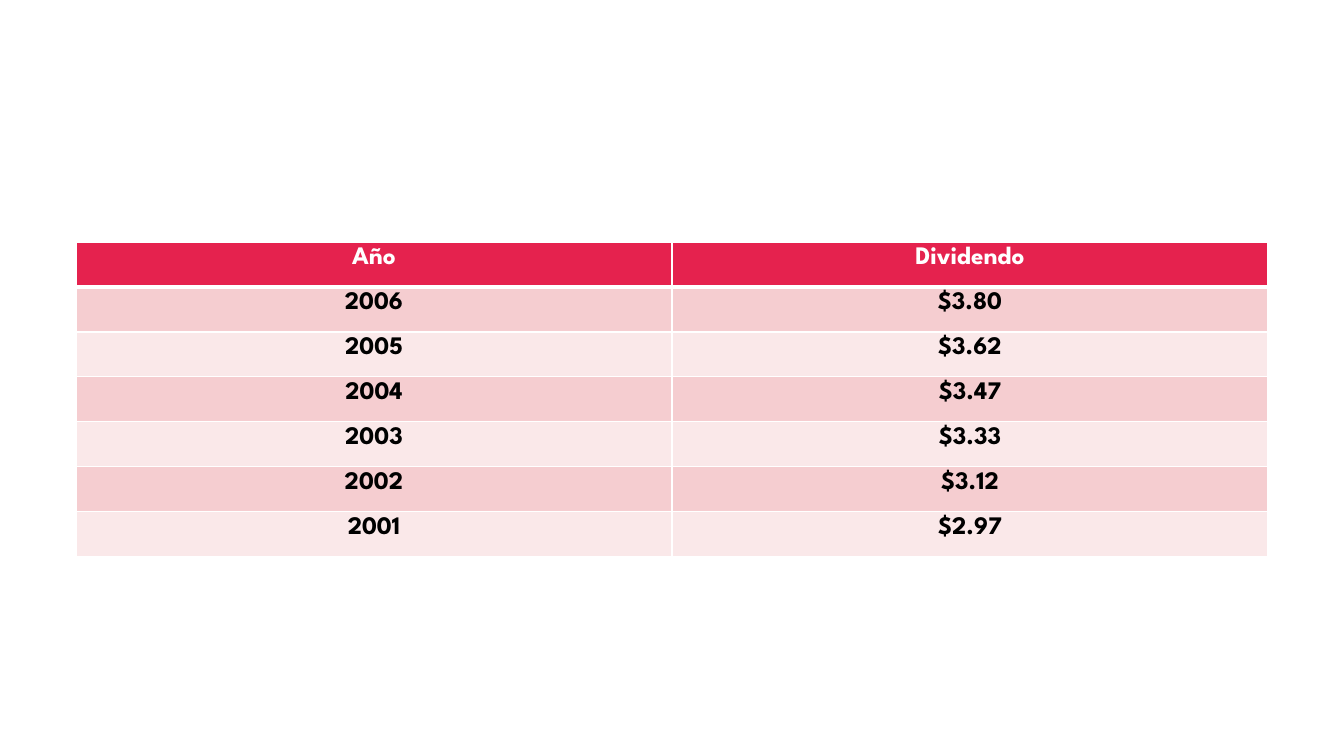
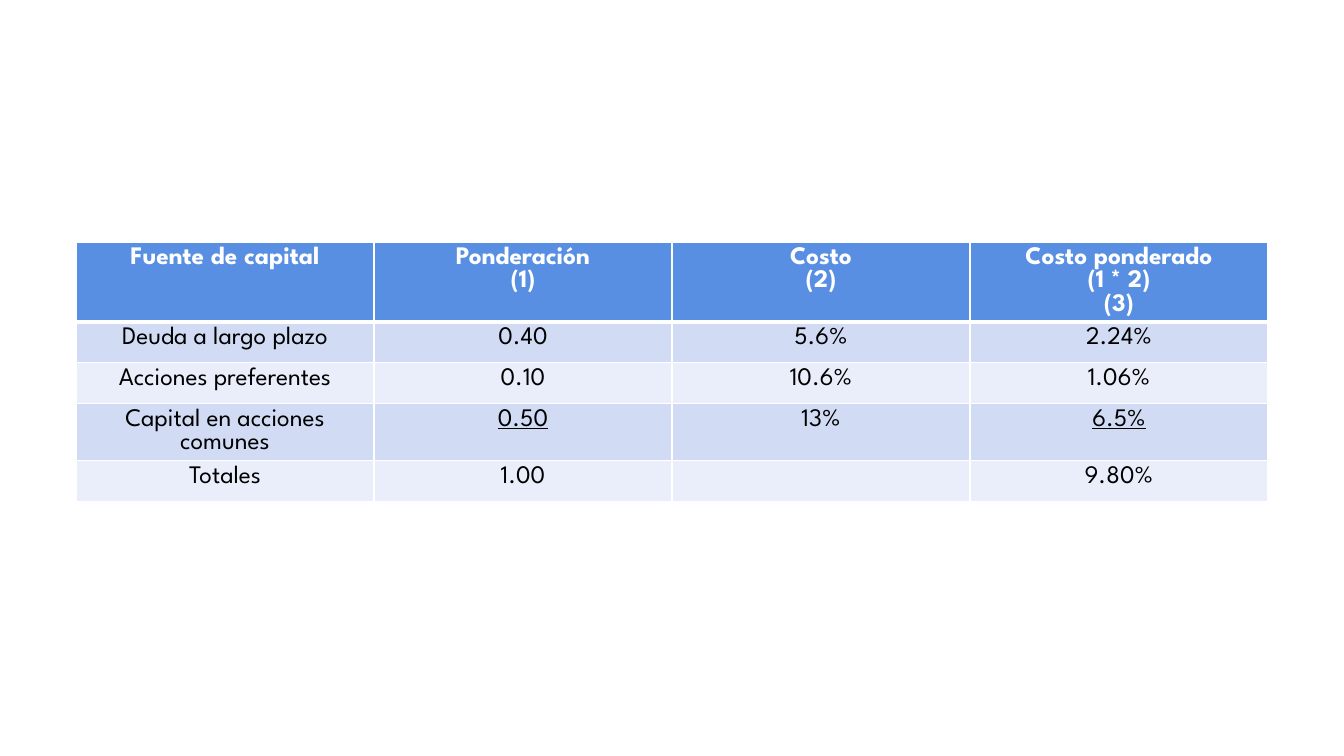
from lxml import etree
from pptx import Presentation
from pptx.dml.color import RGBColor
from pptx.enum.text import PP_ALIGN
from pptx.oxml.ns import qn
from pptx.util import Pt

CENTER = PP_ALIGN.CENTER
PX = 12192000 / 1344
FONT = "League Spartan"
FONT_SIZE = 18
WHITE, BLACK = "FFFFFF", "000000"
TABLE_LEFT, TABLE_TOP, TABLE_WIDTH = 76, 242, 1192
THIN, THICK = 1, 3


def px(length):
    return round(length * PX)


def color(value):
    return RGBColor.from_string(value)


# Content of each slide: header fill, alternating row fills, row heights, cells
tables = [
    {
        "header": "E5224E",
        "bands": ["F5CDD0", "FAE8E9"],
        "bold_body": True,
        "underlined": [],
        "heights": [45] * 7,
        "rows": [
            ["Año", "Dividendo"],
            ["2006", "$3.80"],
            ["2005", "$3.62"],
            ["2004", "$3.47"],
            ["2003", "$3.33"],
            ["2002", "$3.12"],
            ["2001", "$2.97"],
        ],
    },
    {
        "header": "588FE2",
        "bands": ["D1DBF4", "EAEEFA"],
        "bold_body": False,
        "underlined": ["0.50", "6.5%"],
        "heights": [79, 41, 41, 56, 41],
        "rows": [
            ["Fuente de capital", "Ponderación\n(1)", "Costo\n(2)",
             "Costo ponderado\n(1 * 2)\n(3)"],
            ["Deuda a largo plazo", "0.40", "5.6%", "2.24%"],
            ["Acciones preferentes", "0.10", "10.6%", "1.06%"],
            ["Capital en acciones comunes", "0.50", "13%", "6.5%"],
            ["Totales", "1.00", "", "9.80%"],
        ],
    },
]

deck = Presentation()
deck.slide_width, deck.slide_height = px(1344), px(756)
blank_layout = deck.slide_layouts[6]

for content in tables:
    page = deck.slides.add_slide(blank_layout)
    rows, heights = content["rows"], content["heights"]
    column_count = len(rows[0])
    table = page.shapes.add_table(
        len(rows), column_count, px(TABLE_LEFT), px(TABLE_TOP),
        px(TABLE_WIDTH), px(sum(heights))).table

    # Equal columns, row heights as listed
    for column in table.columns:
        column.width = px(TABLE_WIDTH // column_count)
    for row, height in zip(table.rows, heights):
        row.height = px(height)

    for row_index, texts in enumerate(rows):
        is_header = row_index == 0
        fill = content["header"] if is_header else content["bands"][(row_index - 1) % 2]
        for column_index, text in enumerate(texts):
            cell = table.cell(row_index, column_index)
            cell.fill.solid()
            cell.fill.fore_color.rgb = color(fill)

            # White borders, thicker under the header
            borders = {
                "a:lnL": THIN,
                "a:lnR": THIN,
                "a:lnT": THICK if row_index == 1 else THIN,
                "a:lnB": THICK if is_header else THIN,
            }
            properties = cell._tc.get_or_add_tcPr()
            for position, (tag, width) in enumerate(borders.items()):
                line = etree.Element(qn(tag), w=str(Pt(width)))
                line_fill = etree.SubElement(line, qn("a:solidFill"))
                etree.SubElement(line_fill, qn("a:srgbClr"), val=WHITE)
                properties.insert(position, line)

            # Centred text, one paragraph per line
            frame = cell.text_frame
            for line_index, words in enumerate(text.split("\n")):
                para = frame.add_paragraph() if line_index else frame.paragraphs[0]
                para.alignment = CENTER
                para.font.size = Pt(FONT_SIZE)
                if not words:
                    continue
                span = para.add_run()
                span.text = words
                span.font.name = FONT
                span.font.size = Pt(FONT_SIZE)
                span.font.bold = is_header or content["bold_body"]
                span.font.underline = words in content["underlined"]
                span.font.color.rgb = color(WHITE if is_header else BLACK)

deck.save("out.pptx")
